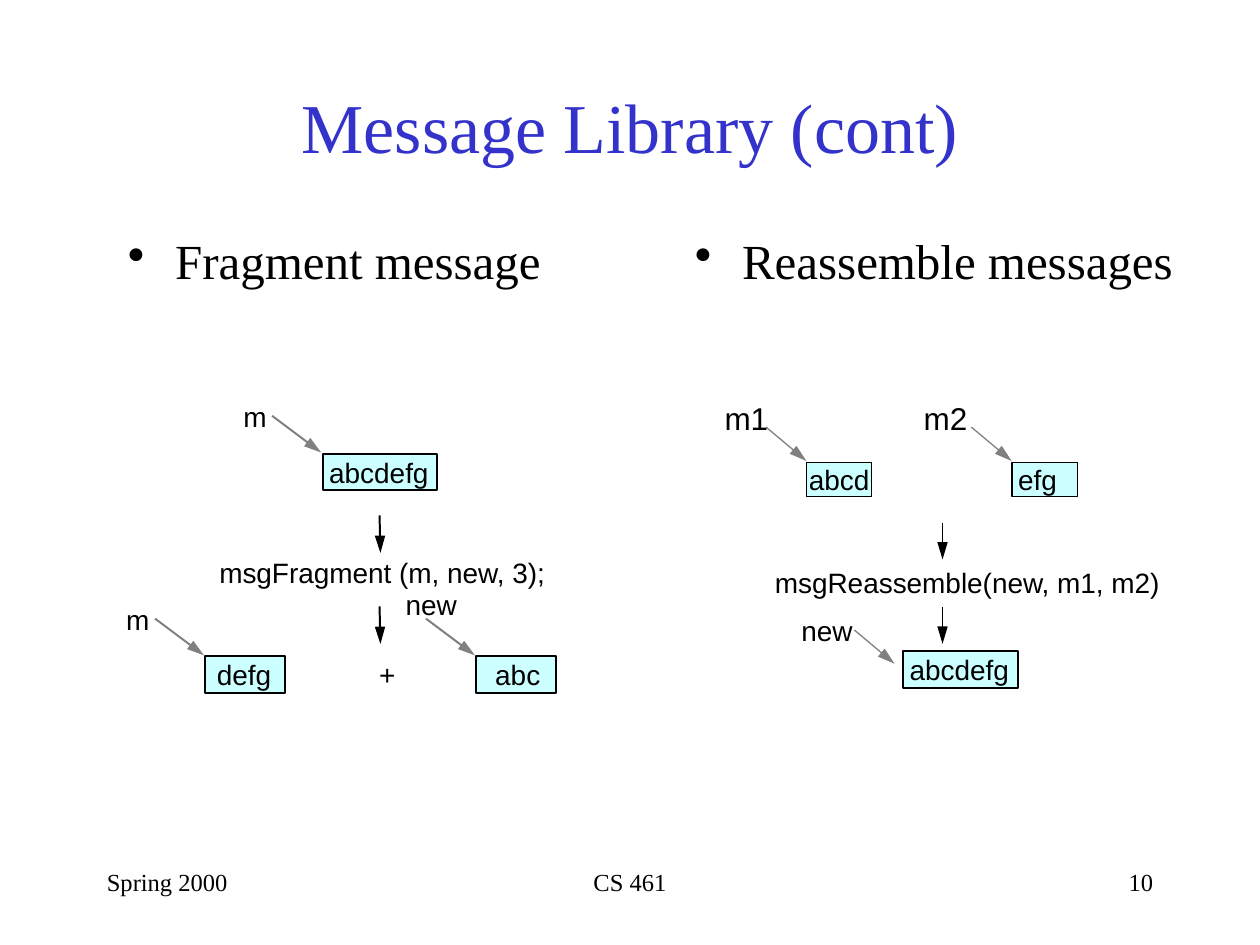
from lxml import etree
from pptx import Presentation, util as u
from pptx.dml.color import RGBColor
from pptx.enum import shapes, text
from pptx.oxml.ns import qn

Pt = u.Pt
AL = text.PP_ALIGN
MID = text.MSO_ANCHOR.MIDDLE
BLACK, GREY, BLUE, CYAN = "000000", "808080", "3333CC", "CCFFFF"
SERIF, SANS = "Times New Roman", "Arial"
THICK, THIN = 1.13, 0.75


def rgb(value):
    return RGBColor.from_string(value)


def apply(obj, values):
    for name, value in values.items():
        setattr(obj, name, value)


def write(sp, words, size, font, color=BLACK, margins=(0, 0, 0, 0), frame=None, para=None):
    tf = sp.text_frame
    sides = ("margin_left", "margin_top", "margin_right", "margin_bottom")
    apply(tf, dict(zip(sides, map(Pt, margins))))
    apply(tf, frame or {})
    p = tf.paragraphs[0]
    apply(p, para or {})
    r = p.add_run()
    r.text = words
    apply(r.font, {"size": Pt(size), "name": font})
    r.font.color.rgb = rgb(color)
    return p


def block(s, words, rect, size, color=BLACK, frame=None, para=None):
    sp = s.shapes.add_textbox(*map(Pt, rect))
    return write(sp, words, size, SERIF, color, (7.2, 3.6, 7.2, 3.6),
                 {"word_wrap": True, **(frame or {})}, para)


def bullet(s, words, rect):
    p = block(s, words, rect, 28, para={"line_spacing": 0.9, "space_before": Pt(7)})
    pPr = p._p.get_or_add_pPr()
    pPr.set("marL", str(Pt(27)))
    pPr.set("indent", str(Pt(-27)))
    etree.SubElement(pPr, qn("a:buChar")).set("char", "•")


def label(s, words, x, y, w, size=16):
    sp = s.shapes.add_textbox(Pt(x), Pt(y), Pt(w), Pt(size * 1.2))
    write(sp, words, size, SANS, frame={"word_wrap": False})


def buffer(s, words, x, y, w, h, inset, weight):
    sp = s.shapes.add_shape(shapes.MSO_SHAPE.RECTANGLE, *map(Pt, (x, y, w, h)))
    sp.shadow.inherit = False
    sp.fill.solid()
    sp.fill.fore_color.rgb = rgb(CYAN)
    sp.line.color.rgb = rgb(BLACK)
    sp.line.width = Pt(weight)
    write(sp, words, 16, SANS, margins=(inset, 0, 0, 0),
          frame={"word_wrap": False, "vertical_anchor": MID}, para={"alignment": AL.LEFT})


def arrow(s, x, y, dx, dy, color, weight):
    ends = map(Pt, (x, y, x + dx, y + dy))
    c = s.shapes.add_connector(shapes.MSO_CONNECTOR.STRAIGHT, *ends)
    c.line.color.rgb = rgb(color)
    c.line.width = Pt(weight)
    tail = etree.SubElement(c.line._get_or_add_ln(), qn("a:tailEnd"))
    for name, value in {"type": "triangle", "w": "med", "len": "lg"}.items():
        tail.set(name, value)
    etree.SubElement(c._element.spPr, qn("a:effectLst"))


def fragment_diagram(s):
    for words, x, y, w, inset in (("abcdefg", 184.5, 259.2, 65.5, 3.6),
                                  ("defg", 117.4, 375.1, 45.4, 6.5),
                                  ("abc", 272.2, 375.1, 45.4, 10.8)):
        buffer(s, words, x, y, w, 20.9, inset, THICK)
    for x, y in ((155.5, 237.6), (88.6, 353.5), (243.4, 353.5)):
        arrow(s, x, y, 28, 21, GREY, THICK)
    for y in (294.5, 346.5):
        arrow(s, 216.9, y, 0.5, 21.5, BLACK, THICK)
    for item in (("m", 139, 228.2, 13.7), ("m", 72, 344.2, 13.7), ("new", 231.8, 335.5, 29.5),
                 ("+", 216.7, 375.8, 9.4), ("msgFragment (m, new, 3);", 125.3, 317.5, 186.5)):
        label(s, *item)


def reassemble_diagram(s):
    for words, x, inset in (("abcd", 460.8, 1.4), ("efg", 578.2, 3.6)):
        buffer(s, words, x, 264.2, 37.4, 19.4, inset, THIN)
    buffer(s, "abcdefg", 516.2, 372.2, 65.5, 20.9, 3.6, THICK)
    for x, y in ((437.8, 244.1), (555.1, 244.1), (488.2, 360)):
        arrow(s, x, y, 23, 19.3, GREY, THIN)
    for y in (298.8, 347):
        arrow(s, 538.6, y, 0, 20.9, BLACK, THIN)
    for item in (("m1", 414, 228.2, 25.2, 18), ("m2", 527.8, 228.2, 25.2, 18),
                 ("new", 457.9, 350.6, 29.5), ("msgReassemble(new, m1, m2)", 442.8, 323.3, 223.2)):
        label(s, *item)


def footer(s):
    for words, x, w, align in (("Spring 2000", 54, 150, AL.LEFT),
                               ("CS 461", 246, 228, AL.CENTER),
                               ("10", 516, 150, AL.RIGHT)):
        block(s, words, (x, 492, w, 36), 14, para={"alignment": align})


def main():
    prs = Presentation()
    apply(prs, {"slide_width": Pt(720), "slide_height": Pt(540)})
    s = prs.slides.add_slide(prs.slide_layouts[6])
    block(s, "Message Library (cont)", (54, 36, 612, 78), 40, BLUE,
          {"vertical_anchor": MID}, {"alignment": AL.CENTER, "line_spacing": 0.9})
    bullet(s, "Fragment message", (66, 132, 276, 48))
    bullet(s, "Reassemble messages", (390, 132, 288, 48))
    fragment_diagram(s)
    reassemble_diagram(s)
    footer(s)
    prs.save("out.pptx")


if __name__ == "__main__":
    main()
